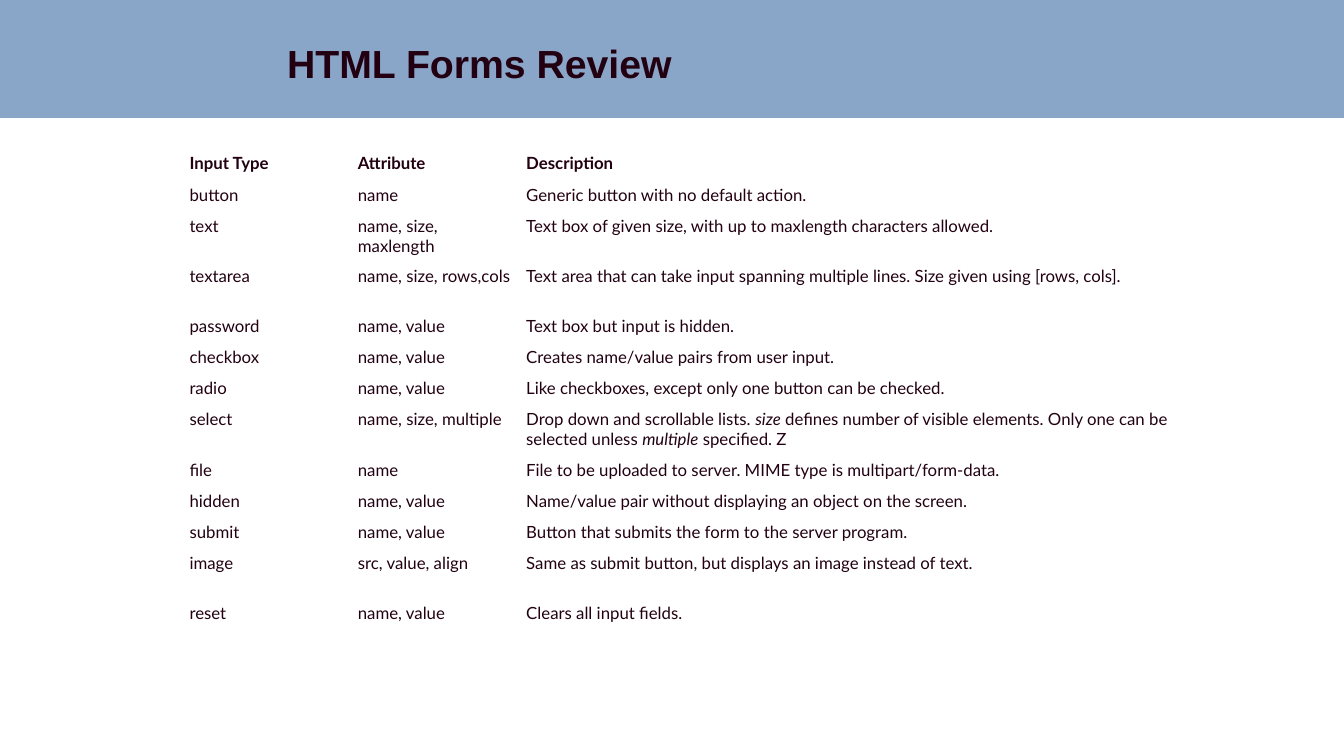
from typing import NamedTuple

from lxml import etree
from pptx import Presentation
from pptx import util as u
from pptx.dml import color
from pptx.enum import shapes, text
from pptx.oxml import ns

COLORS = {"band": "89A5C7", "ink": "220011"}
COLUMN_WIDTHS = (1.67, 1.67, 6.5)
SHORT_ROW, TALL_ROW = 0.31, 0.49
CELL_FORMAT = dict.fromkeys(
    ("margin_left", "margin_right", "margin_top", "margin_bottom"), u.Inches(0.05)
)
TITLE_FORMAT = {"name": "Arial", "size": u.Pt(28), "bold": True}
TABLE_FORMAT = {"name": "Lato", "size": u.Pt(12)}


class InputRow(NamedTuple):
    input_type: str
    attribute: str
    description: str
    height: float = SHORT_ROW


ROWS = (
    InputRow("Input Type", "Attribute", "Description"),
    InputRow("button", "name", "Generic button with no default action."),
    InputRow("text", "name, size, maxlength",
             "Text box of given size, with up to maxlength characters allowed.", TALL_ROW),
    InputRow("textarea", "name, size, rows,cols",
             "Text area that can take input spanning multiple lines. "
             "Size given using [rows, cols].", TALL_ROW),
    InputRow("password", "name, value", "Text box but input is hidden."),
    InputRow("checkbox", "name, value", "Creates name/value pairs from user input."),
    InputRow("radio", "name, value",
             "Like checkboxes, except only one button can be checked."),
    InputRow("select", "name, size, multiple",
             "Drop down and scrollable lists. *size* defines number of visible elements. "
             "Only one can be selected unless *multiple* specified. Z", 0.5),
    InputRow("file", "name",
             "File to be uploaded to server. MIME type is multipart/form-data."),
    InputRow("hidden", "name, value",
             "Name/value pair without displaying an object on the screen."),
    InputRow("submit", "name, value",
             "Button that submits the form to the server program."),
    InputRow("image", "src, value, align",
             "Same as submit button, but displays an image instead of text.", TALL_ROW),
    InputRow("reset", "name, value", "Clears all input fields."),
)


def apply_format(target, values: dict) -> None:
    for name, value in values.items():
        setattr(target, name, value)


def rgb(name: str) -> color.RGBColor:
    return color.RGBColor.from_string(COLORS[name])


def add_run(paragraph, words: str, values: dict):
    run = paragraph.add_run()
    run.text = words
    apply_format(run.font, values)
    run.font.color.rgb = rgb("ink")
    return run


def add_text_shadow(run) -> None:
    effects = etree.Element(ns.qn("a:effectLst"))
    shadow = etree.SubElement(effects, ns.qn("a:outerShdw"),
                              dist="17961", dir="2700000", algn="ctr")
    etree.SubElement(shadow, ns.qn("a:srgbClr"), val="000000")
    run.font.fill
    run.font._element.find(ns.qn("a:solidFill")).addnext(effects)


def add_header(slide, width: int) -> None:
    band = slide.shapes.add_shape(
        shapes.MSO_SHAPE.RECTANGLE, 0, 0, width, u.Inches(1.17))
    band.shadow.inherit = False
    band.fill.solid()
    band.fill.fore_color.rgb = rgb("band")
    band.line.fill.background()
    title = slide.shapes.add_textbox(u.Inches(2.75), 0, u.Inches(8.17), u.Inches(1.25))
    apply_format(title.text_frame, {
        "word_wrap": True, "vertical_anchor": text.MSO_ANCHOR.MIDDLE})
    add_text_shadow(add_run(
        title.text_frame.paragraphs[0], "HTML Forms Review", TITLE_FORMAT))


def fill_cell(cell, words: str, bold: bool) -> None:
    cell.fill.background()
    apply_format(cell, CELL_FORMAT)
    paragraph = cell.text_frame.paragraphs[0]
    paragraph.space_before = u.Pt(3)
    for index, part in enumerate(words.split("*")):
        add_run(paragraph, part,
                {**TABLE_FORMAT, "bold": bold, "italic": index % 2 == 1})


def add_input_table(slide) -> None:
    table = slide.shapes.add_table(
        len(ROWS), len(COLUMN_WIDTHS), u.Inches(1.83), u.Inches(1.47),
        u.Inches(sum(COLUMN_WIDTHS)), u.Inches(sum(row.height for row in ROWS))).table
    apply_format(table, {"first_row": False, "horz_banding": False})
    for column, width in zip(table.columns, COLUMN_WIDTHS):
        column.width = u.Inches(width)
    for index, (table_row, row) in enumerate(zip(table.rows, ROWS)):
        table_row.height = u.Inches(row.height)
        for cell, words in zip(table_row.cells, row[:3]):
            fill_cell(cell, words, bold=index == 0)


def main() -> None:
    presentation = Presentation()
    apply_format(presentation, {
        "slide_width": u.Inches(13.33), "slide_height": u.Inches(7.5)})
    slide = presentation.slides.add_slide(presentation.slide_layouts[6])
    add_header(slide, presentation.slide_width)
    add_input_table(slide)
    presentation.save("out.pptx")


if __name__ == "__main__":
    main()
